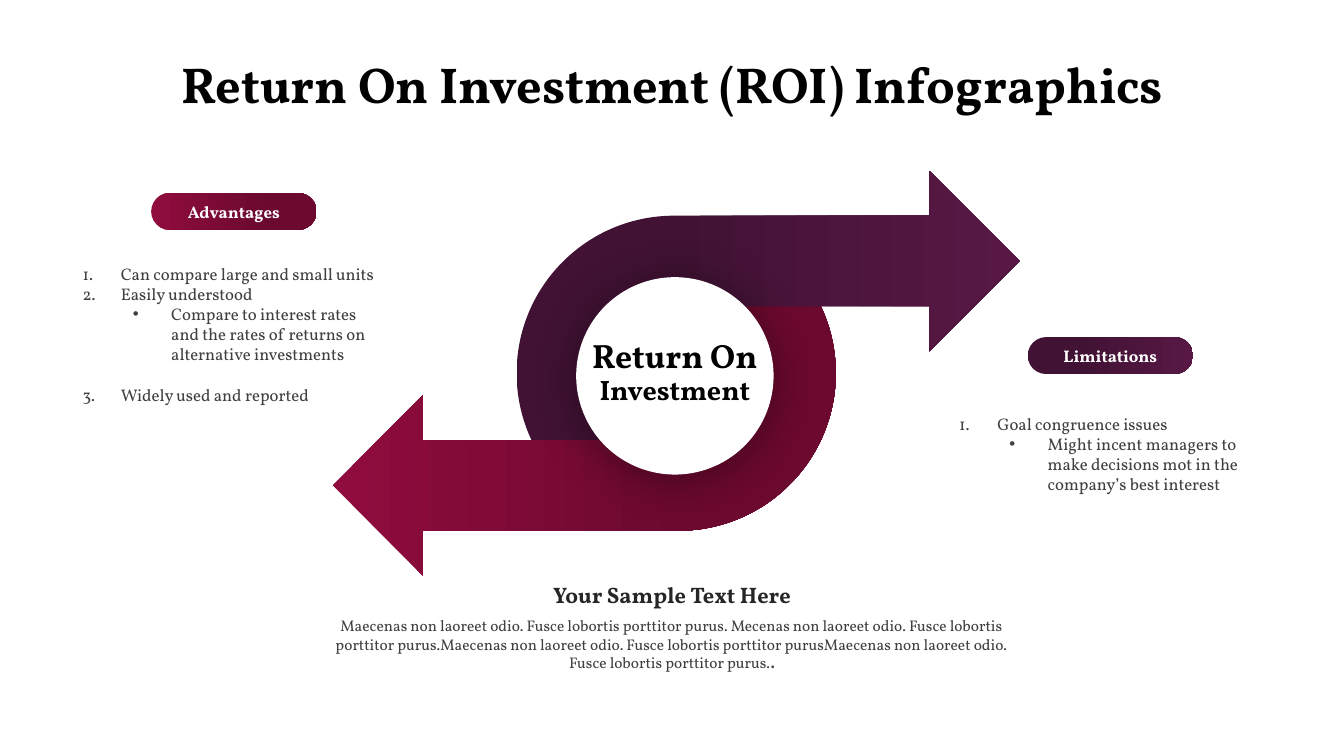
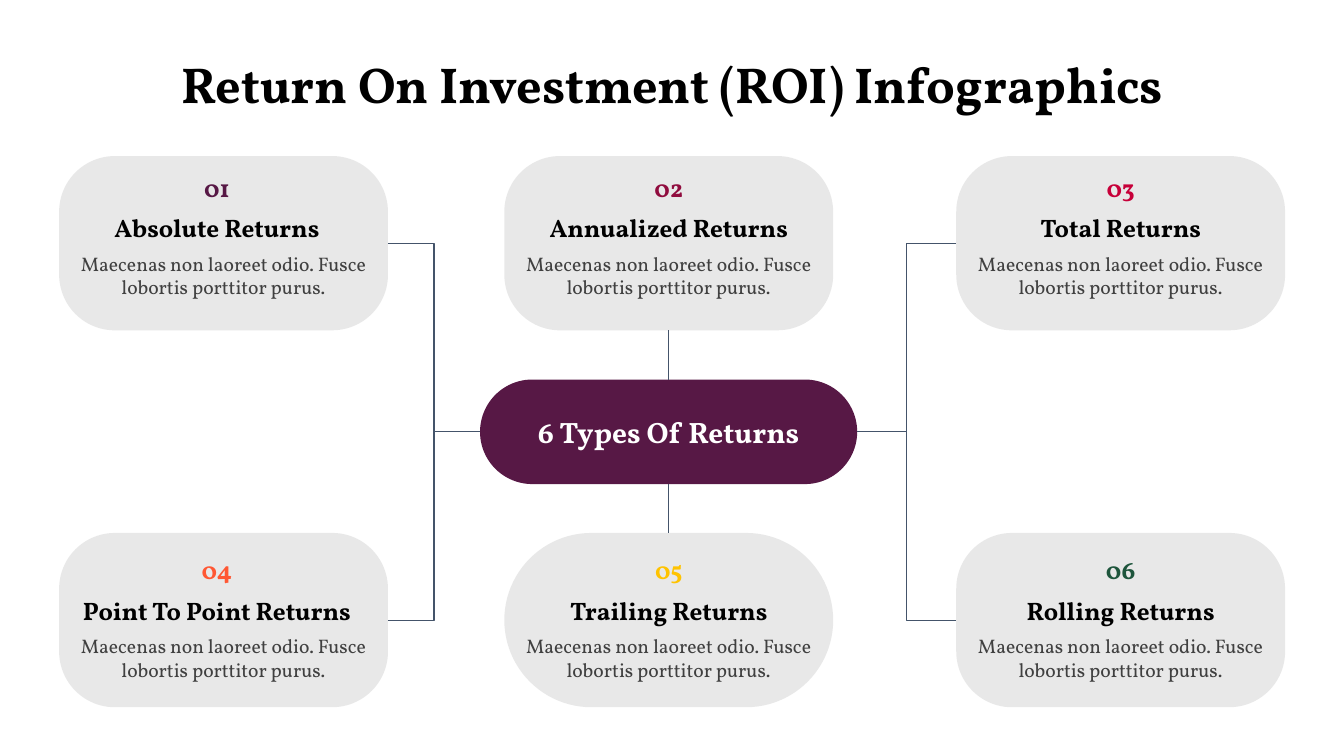
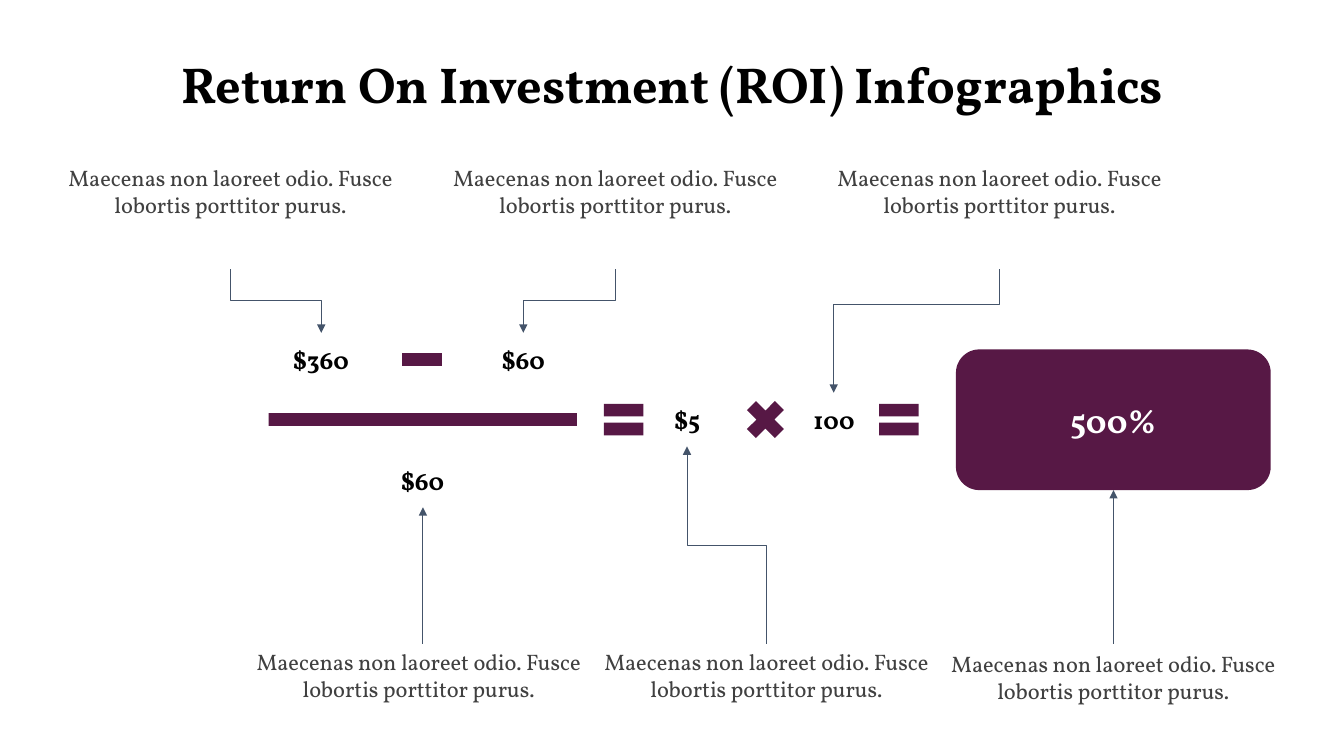
from dataclasses import dataclass
from math import cos, radians, sin, tan

from lxml.etree import SubElement
from pptx import Presentation
from pptx.dml.color import RGBColor
from pptx.enum.shapes import MSO_CONNECTOR, MSO_SHAPE
from pptx.enum.text import MSO_ANCHOR, MSO_AUTO_SIZE, PP_ALIGN
from pptx.oxml.ns import qn
from pptx.util import Emu, Inches, Pt

ROUNDED, OVAL, RECTANGLE = MSO_SHAPE.ROUNDED_RECTANGLE, MSO_SHAPE.OVAL, MSO_SHAPE.RECTANGLE
EQUAL, MINUS, MULTIPLY = MSO_SHAPE.MATH_EQUAL, MSO_SHAPE.MATH_MINUS, MSO_SHAPE.MATH_MULTIPLY
STRAIGHT, ELBOW = MSO_CONNECTOR.STRAIGHT, MSO_CONNECTOR.ELBOW
CENTER, LEFT, MIDDLE = PP_ALIGN.CENTER, PP_ALIGN.LEFT, MSO_ANCHOR.MIDDLE
TWO_CONTENT, TITLE_ONLY = 3, 5


@dataclass(frozen=True)
class Theme:
    font: str = "Vollkorn"
    black: str = "000000"
    white: str = "FFFFFF"
    heading: str = "262626"
    body: str = "404040"
    plum: str = "571845"
    card: str = "D9D9D9"
    line: str = "44546A"
    red_blend: tuple = ((0, "900C3E"), (0.69, "6C092E"))
    plum_blend: tuple = ((0.3, "411234"), (1, "571845"))
    number_colours: tuple = ("571845", "900C3E", "C70039", "FF5733", "FFC300", "1E553C")
    title_size: int = 36
    large: int = 24
    hub_size: int = 21
    centre_size: int = 20
    label_size: int = 18
    medium: int = 16
    caption_size: int = 14
    list_size: int = 12
    small: int = 11


THEME = Theme()
TITLE = "Return On Investment (ROI) Infographics"
SAMPLE = "Maecenas non laoreet odio. Fusce lobortis porttitor purus."

presentation = Presentation()
presentation.slide_width, presentation.slide_height = Inches(40 / 3), Inches(7.5)
# The grid has 160 columns and 90 rows of square cells.
CELL = presentation.slide_width / 160


def add_box(slide, area, kind=None, fill=None, text="", size=THEME.label_size,
            colour=THEME.black, bold=False):
    """Add a preset shape, or a text box if kind is None, at area in grid cells."""
    place = [Emu(round(value * CELL)) for value in area]
    if kind is None:
        shape = slide.shapes.add_textbox(*place)
    else:
        shape = slide.shapes.add_shape(kind, *place)
        shape.shadow.inherit = False
        shape.line.fill.background()
    if fill:
        shape.fill.solid()
        shape.fill.fore_color.rgb = RGBColor.from_string(fill)
    frame = shape.text_frame
    frame.word_wrap = True
    frame.vertical_anchor = MIDDLE
    frame.text = text
    for paragraph in frame.paragraphs:
        paragraph.alignment = CENTER
        for run in paragraph.runs:
            run.font.name, run.font.size, run.font.bold = THEME.font, Pt(size), bold
            run.font.color.rgb = RGBColor.from_string(colour)
    return shape


def add_line(slide, start, end, kind=STRAIGHT, vertical=False, bend=0.5, arrow=False):
    """Join two grid points; a vertical elbow leaves its start up or down."""
    (x1, y1), (x2, y2) = start, end
    turn = 1 if x2 < x1 else -1
    if vertical:
        middle_x, middle_y = (x1 + x2) / 2, (y1 + y2) / 2
        half_width, half_height = turn * (y2 - y1) / 2, abs(x2 - x1) / 2
        x1, x2 = middle_x - half_width, middle_x + half_width
        y1, y2 = middle_y - half_height, middle_y + half_height
    connector = slide.shapes.add_connector(
        kind, *[Emu(round(value * CELL)) for value in (x1, y1, x2, y2)])
    connector.line.color.rgb = RGBColor.from_string(THEME.line)
    connector.line.width = Pt(0.75)
    properties = connector.element.spPr
    if vertical:
        properties.find(qn("a:xfrm")).set("rot", "5400000" if turn > 0 else "16200000")
    if bend != 0.5:
        SubElement(properties.find(".//" + qn("a:avLst")), qn("a:gd"),
                   name="adj1", fmla=f"val {round(bend * 100000)}")
    if arrow:
        SubElement(properties.find(qn("a:ln")), qn("a:tailEnd"), type="triangle")
    SubElement(properties, qn("a:effectLst"))


slides = []
for layout in (TWO_CONTENT, TITLE_ONLY, TITLE_ONLY):
    slide = presentation.slides.add_slide(presentation.slide_layouts[layout])
    title = slide.shapes.title
    title.left, title.top = 0, round(5.68 * CELL)
    title.width, title.height = presentation.slide_width, round(8.5 * CELL)
    title.text_frame.text = TITLE
    title.text_frame.auto_size = MSO_AUTO_SIZE.NONE
    title.text_frame.vertical_anchor = MIDDLE
    title.text_frame.paragraphs[0].alignment = CENTER
    font = title.text_frame.paragraphs[0].runs[0].font
    font.name, font.size, font.bold = THEME.font, Pt(THEME.title_size), True
    font.color.rgb = RGBColor.from_string(THEME.black)
    slides.append(slide)
arrows_slide, types_slide, formula_slide = slides

# Slide 1: two interlocking arrows, each the other turned by half a circle
CENTRE_X, CENTRE_Y = 80.5, 44.43
OUTER, INNER, HEAD = 18.75, 8, -30.15
arrow_outline = [(-40.9, 13.35), (HEAD, 2.6), (HEAD, INNER), (0.25, INNER)]
curve_starts = []  # outline positions where two control points and an end point follow
for radius, first, last in ((INNER, 90, 0), (INNER, 0, -90), (OUTER, -25, 0), (OUTER, 0, 90)):
    start, end = radians(first), radians(last)
    reach = 4 / 3 * tan((end - start) / 4)
    if first == -25:
        arrow_outline.append((0.25 + radius * cos(start), radius * sin(start)))
    curve_starts.append(len(arrow_outline))
    arrow_outline += [
        (0.25 + radius * (cos(angle) - pull * sin(angle)),
         radius * (sin(angle) + pull * cos(angle)))
        for angle, pull in ((start, reach), (end, -reach), (end, 0))]
arrow_outline += [(HEAD, OUTER), (HEAD, 24.1)]

# label, half turn, blend, pill column, pill row, list row, list rows, (level, text) items
sides = [
    ("Advantages", 1, THEME.red_blend, 18, 22.97, 30.75, 23, [
        (0, "Can compare large and small units"),
        (0, "Easily understood"),
        (1, "Compare to interest rates and the rates of returns on alternative investments"),
        (0, "Widely used and reported")]),
    ("Limitations", -1, THEME.plum_blend, 122.35, 40.13, 48.6, 10.9, [
        (0, "Goal congruence issues"),
        (1, "Might incent managers to make decisions mot in the company’s best interest")]),
]
bodies = list(arrows_slide.placeholders)[1:]
for body, (label, turn, blend, column, row, list_row, list_rows, items) in zip(bodies, sides):
    points = [(round((CENTRE_X + turn * x) * CELL), round((CENTRE_Y + turn * y) * CELL))
              for x, y in arrow_outline]
    builder = arrows_slide.shapes.build_freeform(*points[0])
    builder.add_line_segments(points[1:])
    big_arrow = builder.convert_to_shape()
    big_arrow.shadow.inherit = False
    big_arrow.line.fill.background()
    segments = list(big_arrow.element.spPr.find(".//" + qn("a:path")))
    for position in curve_starts:
        curve, *ends = segments[position:position + 3]
        curve.tag = qn("a:cubicBezTo")
        for segment in ends:
            curve.append(segment[0])
            segment.getparent().remove(segment)
    pill = add_box(arrows_slide, (column, row, 19.7, 4.4), ROUNDED, None, label,
                   THEME.list_size, THEME.white, True)
    pill.adjustments[0] = 0.5
    for shape in (big_arrow, pill):
        shape.fill.gradient()
        shape.fill.gradient_angle = 0
        for stop, (position, colour) in zip(shape.fill.gradient_stops, blend):
            stop.position = position
            stop.color.rgb = RGBColor.from_string(colour)

    body.left, body.top = round((column - 9.38) * CELL), round(list_row * CELL)
    body.width, body.height = round(38.3 * CELL), round(list_rows * CELL)
    frame = body.text_frame
    frame.text = "\n".join(text for level, text in items)
    frame.auto_size = MSO_AUTO_SIZE.NONE
    previous_level = 0
    for paragraph, (level, text) in zip(frame.paragraphs, items):
        paragraph.level = level
        paragraph.alignment = LEFT
        paragraph.space_before = Pt(14.4 if level < previous_level else 0)
        previous_level = level
        settings = paragraph._p.get_or_add_pPr()
        settings.set("marL", str(Inches(0.88 if level else 0.38)))
        settings.set("indent", str(Inches(-0.38)))
        if level:
            SubElement(settings, qn("a:buChar"), char="•")
        else:
            SubElement(settings, qn("a:buAutoNum"), type="arabicPeriod")
        font = paragraph.runs[0].font
        font.name, font.size = THEME.font, Pt(THEME.list_size)
        font.color.rgb = RGBColor.from_string(THEME.body)

circle = add_box(arrows_slide, (68.6, 33, 23.5, 23.5), OVAL, THEME.white)
shadow = SubElement(circle.element.spPr.find(qn("a:effectLst")), qn("a:outerShdw"),
                    blurRad=str(Pt(35)), dist=str(Pt(3)), dir="5400000")
shadow_colour = SubElement(shadow, qn("a:srgbClr"), val=THEME.black)
SubElement(shadow_colour, qn("a:alpha"), val="40000")

centre_text = add_box(arrows_slide, (68.13, 40.4, 24.4, 8.6), text="Return On ",
                      size=THEME.large, bold=True)
centre_text.text_frame.paragraphs[0].line_spacing = Pt(22)
add_box(arrows_slide, (54.9, 68.6, 50.2, 4.4), text="Your Sample Text Here",
        size=THEME.medium, colour=THEME.heading, bold=True)
summary = add_box(
    arrows_slide, (38.7, 72.72, 82.6, 7.9), size=THEME.small, colour=THEME.body,
    text=f"{SAMPLE} Mecenas non laoreet odio. Fusce lobortis porttitor purus."
         f"Maecenas non laoreet odio. Fusce lobortis porttitor purus{SAMPLE}")
for shape, ending, size, colour in (
        (centre_text, "Investment", THEME.centre_size, THEME.black),
        (summary, ".", THEME.small, THEME.body)):
    run = shape.text_frame.paragraphs[0].add_run()
    run.text = ending
    run.font.name, run.font.size, run.font.bold = THEME.font, Pt(size), True
    run.font.color.rgb = RGBColor.from_string(colour)

# Slide 2: a hub with six cards
HUB_LEFT, HUB_TOP, HUB_WIDTH, HUB_HEIGHT = 57.15, 45.18, 44.9, 12.45
CARD_WIDTH, CARD_HEIGHT = 39.15, 20.75
card_columns = [(7.04, -0.8), (60.04, 0), (113.84, 0)]  # left edge, shift of the labels
card_rows = [(18.58, 0), (63.45, 0.65)]  # top edge, shift of the texts
names = ["Absolute Returns", "Annualized Returns", "Total Returns",
         "Point To Point Returns", "Trailing Returns", "Rolling Returns"]

hub = add_box(types_slide, (HUB_LEFT, HUB_TOP, HUB_WIDTH, HUB_HEIGHT), ROUNDED, THEME.plum,
              "6 Types Of Returns", THEME.hub_size, THEME.white, True)
hub.adjustments[0] = 0.5
for index, name in enumerate(names):
    left, label_shift = card_columns[index % 3]
    top, text_shift = card_rows[index // 3]
    card = add_box(types_slide, (left, top, CARD_WIDTH, CARD_HEIGHT), ROUNDED, THEME.card)
    card.adjustments[0] = 0.5 if name == "Trailing Returns" else 0.32
    card_colour = card.element.spPr.find(qn("a:solidFill"))[0]
    SubElement(card_colour, qn("a:alpha"), val="60000")
    text_top = top + text_shift
    for offset, text, colour in ((1.35, f"{index + 1:02}", THEME.number_colours[index]),
                                 (6.12, name, THEME.black)):
        add_box(types_slide, (left + label_shift + 1.63, text_top + offset, 35.9, 4.8),
                text=text, colour=colour, bold=True)
    add_box(types_slide, (left, text_top + 10.8, CARD_WIDTH, 6.8), text=SAMPLE,
            size=THEME.caption_size, colour=THEME.body)

hub_middle = HUB_TOP + HUB_HEIGHT / 2
stem = HUB_LEFT + HUB_WIDTH / 2
for top, text_shift in card_rows:
    card_middle = top + CARD_HEIGHT / 2
    add_line(types_slide, (card_columns[0][0] + CARD_WIDTH, card_middle),
             (HUB_LEFT, hub_middle), ELBOW)
    add_line(types_slide, (HUB_LEFT + HUB_WIDTH, hub_middle),
             (card_columns[2][0], card_middle), ELBOW)
add_line(types_slide, (stem, HUB_TOP), (stem, card_rows[0][0] + CARD_HEIGHT))
add_line(types_slide, (stem, HUB_TOP + HUB_HEIGHT), (stem, card_rows[1][0]))

# Slide 3: the formula with captions
UPPER, BASE, LOWER = 39.62, 46.75, 54
SYMBOL, NUMBER_WIDTH, CAPTION_WIDTH = 6.4, 14.8, 43.8
for kind, column, row in ((MINUS, 47.05, UPPER), (EQUAL, 71.05, BASE),
                          (MULTIPLY, 87.92, BASE), (EQUAL, 103.8, BASE)):
    add_box(formula_slide, (column, row, SYMBOL, SYMBOL), kind, THEME.plum)
add_box(formula_slide, (32, 49.2, 36.7, 1.5), RECTANGLE, THEME.plum)
for text, centre, row in (("$360", 38.2, UPPER), ("$60", 62.3, UPPER), ("$60", 50.3, LOWER),
                          ("$5", 81.8, BASE), ("100", 99.28, BASE)):
    add_box(formula_slide, (centre - NUMBER_WIDTH / 2, row, NUMBER_WIDTH, SYMBOL),
            text=text, bold=True)
add_box(formula_slide, (113.8, 41.6, 37.48, 16.75), ROUNDED, THEME.plum, "500%",
        THEME.large, THEME.white, True)

# caption centre, caption row, arrow start row, target column, target row, bend (None: straight)
callouts = [
    (27.45, 18.93, 32.05, 38.25, UPPER, 0.5),
    (73.25, 18.93, 32.05, 62.3, UPPER, 0.5),
    (118.98, 18.93, 32.05, 99.25, BASE, 0.29),
    (49.85, 76.57, 76.65, 50.35, LOWER + SYMBOL, None),
    (91.25, 76.57, 76.65, 81.8, BASE + SYMBOL, 0.5),
    (132.55, 76.8, 76.65, 132.57, 58.35, None),
]
for centre, row, start_row, target_column, target_row, bend in callouts:
    add_box(formula_slide, (centre - CAPTION_WIDTH / 2, row, CAPTION_WIDTH, 7.6),
            text=SAMPLE, size=THEME.medium, colour=THEME.body)
    target = (target_column, target_row)
    if bend is None:
        add_line(formula_slide, (target_column, start_row), target, arrow=True)
    else:
        add_line(formula_slide, (centre, start_row), target, ELBOW, True, bend, True)

presentation.save("out.pptx")
